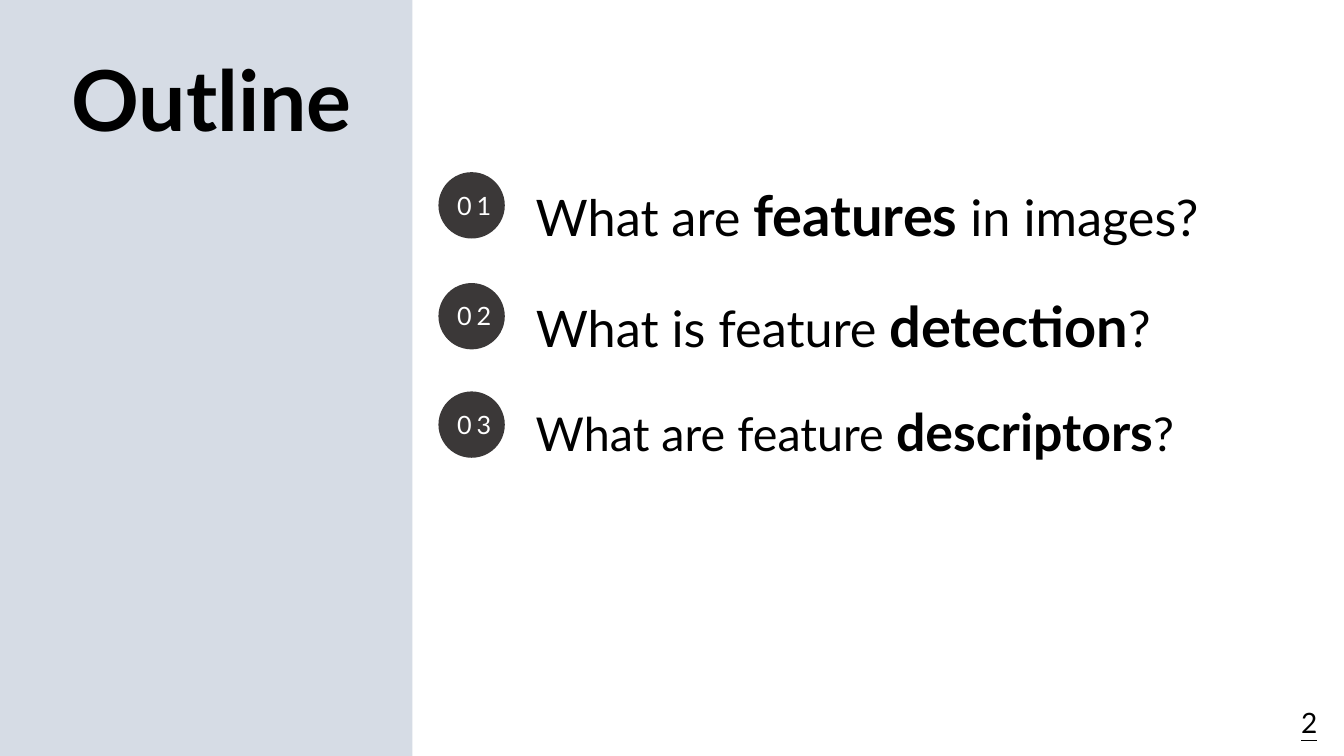
from dataclasses import dataclass

from pptx import Presentation
from pptx.dml.color import RGBColor
from pptx.enum.shapes import MSO_SHAPE as SHAPE
from pptx.enum.text import MSO_ANCHOR as ANCHOR, MSO_AUTO_SIZE as AUTO, PP_ALIGN as ALIGN
from pptx.util import Inches, Pt

COLS, ROWS = 160, 90


@dataclass(frozen=True)
class Theme:
    font: str = "Lato"
    ink: str = "000000"
    light: str = "FFFFFF"
    panel: str = "D6DCE5"
    badge: str = "3B3838"
    title: float = 60
    page_number: float = 20
    number: float = 18
    item: float = 36
    item_small: float = 33.3
    emphasis: float = 40
    emphasis_small: float = 37


class Deck:
    def __init__(self, theme):
        self.theme = theme
        self.prs = Presentation()
        self.prs.slide_width, self.prs.slide_height = Inches(13.33), Inches(7.5)
        self.slide = self.prs.slides.add_slide(self.prs.slide_layouts[6])

    def box(self, x, y, w, h):
        """Turn columns and rows of the grid into slide lengths."""
        col, row = self.prs.slide_width / COLS, self.prs.slide_height / ROWS
        return [round(n * unit) for n, unit in zip((x, y, w, h), (col, row, col, row))]

    def shape(self, kind, cells, color, parent=None):
        sp = (parent or self.slide).shapes.add_shape(kind, *self.box(*cells))
        sp.shadow.inherit = False
        sp.fill.solid()
        sp.fill.fore_color.rgb = RGBColor.from_string(color)
        sp.line.fill.background()
        return sp

    def fill_text(self, sp, runs, color, align=ALIGN.LEFT, spacing=None, **frame):
        """Fill a shape with one paragraph of (text, font values) runs."""
        tf = sp.text_frame
        for name, value in {"word_wrap": True, **frame}.items():
            setattr(tf, name, value)
        p = tf.paragraphs[0]
        p.alignment, p.line_spacing = align, spacing
        for text, style in runs:
            r = p.add_run()
            r.text = text
            for name, value in {"name": self.theme.font, **style}.items():
                setattr(r.font, name, value)
            r.font.color.rgb = RGBColor.from_string(color)
        return p

    def text(self, cells, runs, **style):
        sp = self.slide.shapes.add_textbox(*self.box(*cells))
        return self.fill_text(sp, runs, self.theme.ink, **style)

    def badge(self, x, y, number):
        group = self.slide.shapes.add_group_shape()
        self.shape(SHAPE.OVAL, (x, y, 7.9, 7.9), self.theme.badge, group)
        label = self.shape(SHAPE.RECTANGLE, (x + 1.45, y + 1.55, 5.6, 4.7), self.theme.badge, group)
        margins = {f"margin_{side}": Inches(0.04) for side in ("left", "top", "right", "bottom")}
        p = self.fill_text(label, [(f"{number:02}", {"size": Pt(self.theme.number)})], self.theme.light,
                           align=ALIGN.CENTER, word_wrap=False, vertical_anchor=ANCHOR.MIDDLE,
                           auto_size=AUTO.SHAPE_TO_FIT_TEXT, **margins)
        p.runs[0].font._element.set("spc", "360")

    def question(self, cells, words, size, emphasis, spacing):
        """Add a question whose middle part is bold and larger."""
        before, strong, after = words
        plain = {"size": Pt(size), "bold": False}
        self.text(cells, [(before, plain), (strong, {"size": Pt(emphasis), "bold": True}), (after, plain)],
                  spacing=spacing, vertical_anchor=ANCHOR.BOTTOM)


def main():
    theme = Theme()
    deck = Deck(theme)
    deck.shape(SHAPE.RECTANGLE, (0, 0, 49.1, ROWS), theme.panel)
    deck.text((1.3, 6.4, 47.8, 12), [("Outline", {"size": Pt(theme.title), "bold": True})],
              align=ALIGN.CENTER, spacing=0.9, vertical_anchor=ANCHOR.BOTTOM)
    deck.text((153.1, 83.6, 4.9, 4.8), [("2", {"size": Pt(theme.page_number), "underline": True})],
              align=ALIGN.RIGHT, vertical_anchor=ANCHOR.MIDDLE)

    large = (theme.item, theme.emphasis, 1.7)
    small = (theme.item_small, theme.emphasis_small, 1.6)
    questions = [
        (20.5, (16.1, 86.3, 14), ("What are ", "features", " in images?"), large),
        (33.7, (30, 82.9, 13.3), ("What is feature ", "detection", "?"), large),
        (46.6, (43.7, 98, 11.9), ("What are feature ", "descriptors", "?"), small),
    ]
    for number, (badge_y, (y, w, h), words, style) in enumerate(questions, 1):
        deck.badge(52.2, badge_y, number)
        deck.question((62.6, y, w, h), words, *style)
    deck.prs.save("out.pptx")


if __name__ == "__main__":
    main()
